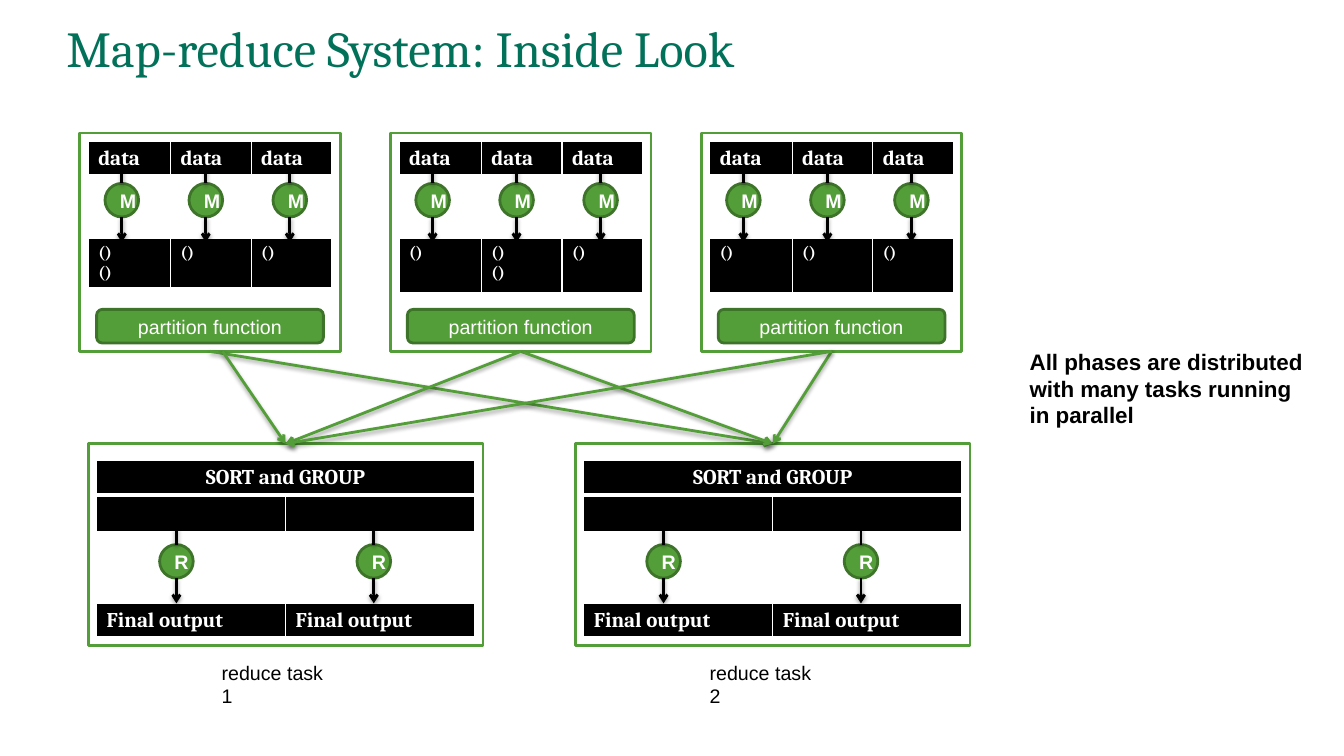
from pptx import Presentation
from pptx.dml.color import RGBColor
from pptx.enum.shapes import MSO_CONNECTOR, MSO_SHAPE as Kind
from pptx.enum.text import MSO_ANCHOR as Anchor, MSO_AUTO_SIZE as AutoSize, PP_ALIGN as Align
from pptx.oxml import parse_xml
from pptx.oxml.ns import nsdecls
from pptx.util import Inches, Pt

GREEN, DARK_GREEN, TEAL = "549E39", "3E742A", "027159"
BLACK, WHITE = "000000", "FFFFFF"
UNIT = Inches(1 / 12)  # the slide is a grid of 160 columns by 90 rows
ROW_SHIFT = 0.83
colour = RGBColor.from_string


def at(column, row):
    """Left and top of a grid point, in EMU."""
    return int(column * UNIT), int((row + ROW_SHIFT) * UNIT)


def write(frame, text, size=14, font="Arial", ink=BLACK, bold=False,
          align=Align.LEFT, anchor=Anchor.TOP, spacing=None, wrap=True):
    frame.word_wrap = wrap
    frame.vertical_anchor = anchor
    for index, line in enumerate(text.split("\n")):
        para = frame.paragraphs[0] if index == 0 else frame.add_paragraph()
        para.alignment, para.line_spacing = align, spacing
        span = para.add_run()
        span.text = line
        span.font.size, span.font.name, span.font.bold = Pt(size), font, bold
        span.font.color.rgb = colour(ink)


deck = Presentation()
deck.slide_width, deck.slide_height = 160 * UNIT, 90 * UNIT
page = deck.slides.add_slide(deck.slide_layouts[5])

title = page.shapes.title
title.left, title.top = at(6.7, 1.8)
title.width, title.height = int(129.6 * UNIT), 7 * UNIT
write(title.text_frame, "Map-reduce System: Inside Look", size=36, font="Cambria",
      ink=TEAL, anchor=Anchor.MIDDLE, spacing=0.9)
title.text_frame.auto_size = AutoSize.NONE

# Lay out the map tasks and the reduce tasks
MAP_ROW, REDUCE_ROW = 15, 52
frames, buttons, tables, lines = [], [], [], []
map_results = [("()\n()", "()", "()"), ("()", "()\n()", "()"), ("()", "()", "()")]
for task, results in enumerate(map_results):
    left = 9.5 + 37 * task
    frames.append((left, MAP_ROW, 31, 26))
    thirds = (9.8, 9.6, 9.6)
    tables.append((left + 1, MAP_ROW + 1, thirds, [4.1], [["data"] * 3], 15))
    tables.append((left + 1, MAP_ROW + 12.6, thirds, [6.5 if task else 6], [results], 12))
    buttons.append((Kind.ROUNDED_RECTANGLE, left + 2, MAP_ROW + 21, 27, "partition function"))
    for mapper in range(3):
        middle = left + 5 + 10 * mapper
        buttons.append((Kind.OVAL, middle - 2, MAP_ROW + 6, 4, "M"))
        lines.append((middle, MAP_ROW + 10, middle, MAP_ROW + 13, BLACK, True))
        lines.append((middle, MAP_ROW + 4, middle, MAP_ROW + 6, BLACK, False))

for task in range(2):
    left = 10.5 + 58.0 * task
    frames.append((left, REDUCE_ROW, 47, 24))
    halves = (22.5, 22.5)
    tables.append((left + 1, REDUCE_ROW + 2, halves, [4.1, 4.4],
                   [["SORT and GROUP", None], ["", ""]], 15))
    tables.append((left + 1, REDUCE_ROW + 19, halves, [4.1], [["Final output"] * 2], 15))
    for reducer in range(2):
        middle = left + 10.5 + 23.5 * reducer
        buttons.append((Kind.OVAL, middle - 2, REDUCE_ROW + 12, 4, "R"))
        lines.append((middle, REDUCE_ROW + 16, middle, REDUCE_ROW + 19, BLACK, True))
        lines.append((middle, REDUCE_ROW + 10, middle, REDUCE_ROW + 12, BLACK, False))

for reduce_middle, map_middles in ((92, (25, 62, 99)), (34, (26.5, 62, 99))):
    for map_middle in map_middles:
        lines.append((map_middle, MAP_ROW + 26, reduce_middle, REDUCE_ROW, GREEN, True))

# Draw them
for column, row, width, height in frames:
    box = page.shapes.add_shape(Kind.RECTANGLE, *at(column, row), width * UNIT, height * UNIT)
    box.shadow.inherit = False
    box.fill.solid()
    box.fill.fore_color.rgb = colour(WHITE)
    box.line.color.rgb, box.line.width = colour(GREEN), Pt(2)

for column, row, widths, heights, texts, size in tables:
    table = page.shapes.add_table(len(heights), len(widths), *at(column, row),
                                  int(sum(widths) * UNIT), int(sum(heights) * UNIT)).table
    table.first_row = table.horz_banding = False
    for index, width in enumerate(widths):
        table.columns[index].width = int(width * UNIT)
    for index, height in enumerate(heights):
        table.rows[index].height = int(height * UNIT)
        for place, text in enumerate(texts[index]):
            cell = table.cell(index, place)
            edges = {"L": 0.96, "R": 0.96, "T": 3 if index else 0.96, "B": 0.96 if index else 3}
            for side, points in edges.items():
                cell._tc.get_or_add_tcPr().append(parse_xml(
                    f'<a:ln{side} {nsdecls("a")} w="{Pt(points)}"><a:solidFill>'
                    f'<a:srgbClr val="{WHITE}"/></a:solidFill></a:ln{side}>'))
            cell.fill.solid()
            cell.fill.fore_color.rgb = colour(BLACK)
            if text is None:
                table.cell(index, 0).merge(cell)
                table.cell(index, 0).text_frame.paragraphs[0].alignment = Align.CENTER
            elif text:
                write(cell.text_frame, text, size=size, font="Cambria", ink=WHITE, bold=True)
            else:
                cell.margin_top = cell.margin_bottom = 0

for kind, column, row, width, text in buttons:
    button = page.shapes.add_shape(kind, *at(column, row), width * UNIT, 4 * UNIT)
    button.shadow.inherit = False
    button.fill.solid()
    button.fill.fore_color.rgb = colour(GREEN)
    button.line.color.rgb, button.line.width = colour(DARK_GREEN), Pt(2)
    write(button.text_frame, text, ink=WHITE, bold=kind == Kind.OVAL,
          align=Align.CENTER, anchor=Anchor.MIDDLE)

for start_column, start_row, end_column, end_row, ink, has_head in lines:
    line = page.shapes.add_connector(MSO_CONNECTOR.STRAIGHT, *at(start_column, start_row),
                                     *at(end_column, end_row))
    line.line.color.rgb, line.line.width = colour(ink), Pt(2)
    if has_head:
        line.line._get_or_add_ln().append(
            parse_xml(f'<a:tailEnd {nsdecls("a")} type="arrow"/>'))
    line._element.spPr.append(parse_xml(
        f'<a:effectLst {nsdecls("a")}><a:outerShdw blurRad="{Pt(3.1)}" dist="{Pt(1.6)}" '
        f'dir="5400000" rotWithShape="0"><a:srgbClr val="{BLACK}"><a:alpha val="38000"/>'
        '</a:srgbClr></a:outerShdw></a:effectLst>'))

captions = [
    (25.2, 77.2, 16.4, 4, "reduce task 1", dict(wrap=False)),
    (83.3, 77.2, 16.4, 4, "reduce task 2", dict(wrap=False)),
    (121.4, 40, 35.2, 10.8, "All phases are distributed with many tasks running in parallel",
     dict(size=16, bold=True)),
]
for column, row, width, height, text, style in captions:
    caption = page.shapes.add_textbox(*at(column, row), int(width * UNIT), int(height * UNIT))
    write(caption.text_frame, text, **style)

deck.save("out.pptx")
